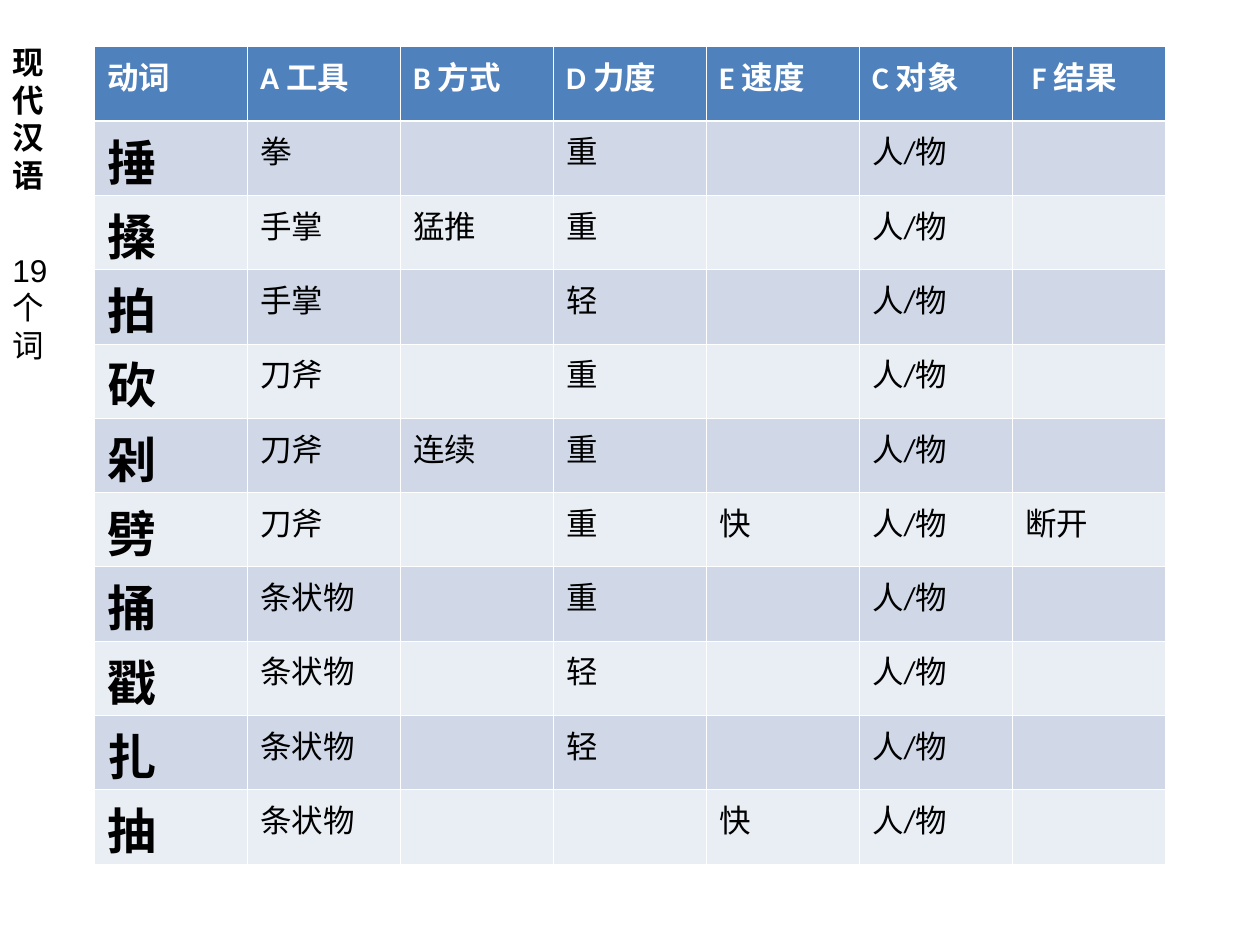
from lxml import etree
from pptx import Presentation
from pptx.dml.color import RGBColor
from pptx.enum.text import MSO_AUTO_SIZE
from pptx.oxml.ns import qn
from pptx.util import Inches, Pt

FIT_SHAPE = MSO_AUTO_SIZE.SHAPE_TO_FIT_TEXT
BLANK_LAYOUT = 6
HEADER_FILL = "4F81BD"
BAND_FILLS = ("D0D8E8", "E9EDF4")
THIN, THICK = 0.45, 1.47

HEADERS = ["动词", "A 工具", "B 方式", "D 力度", "E 速度", "C 对象", " F 结果"]
VERBS = [
    ["捶", "拳", "", "重", "", "人/物", ""],
    ["搡", "手掌", "猛推", "重", "", "人/物", ""],
    ["拍", "手掌", "", "轻", "", "人/物", ""],
    ["砍", "刀斧", "", "重", "", "人/物", ""],
    ["剁", "刀斧", "连续", "重", "", "人/物", ""],
    ["劈", "刀斧", "", "重", "快", "人/物", "断开"],
    ["捅", "条状物", "", "重", "", "人/物", ""],
    ["戳", "条状物", "", "轻", "", "人/物", ""],
    ["扎", "条状物", "", "轻", "", "人/物", ""],
    ["抽", "条状物", "", "", "快", "人/物", ""],
]
SIDE_LABELS = [
    (0.29, 1.3, ["现代汉语"], "Calibri", True),
    (1.94, 1, ["19个", "词"], "Arial", False),
]


def write(frame, lines, size=18, font="Calibri", color="000000", bold=False, spacing=None):
    """Fill a text frame with one formatted paragraph per line."""
    for index, line in enumerate(lines):
        para = frame.add_paragraph() if index else frame.paragraphs[0]
        para.line_spacing = spacing
        span = para.add_run()
        span.text = line
        span.font.size = Pt(size)
        span.font.name = font
        span.font.bold = bold
        span.font.color.rgb = RGBColor.from_string(color)


def set_borders(cell, color="FFFFFF", **widths):
    """Draw cell borders; widths in points are keyed by side: L, R, T, B."""
    properties = cell._tc.get_or_add_tcPr()
    for index, (side, width) in enumerate(widths.items()):
        line = etree.Element(qn(f"a:ln{side}"), w=str(Pt(width)))
        fill = etree.SubElement(line, qn("a:solidFill"))
        etree.SubElement(fill, qn("a:srgbClr"), val=color)
        properties.insert(index, line)


deck = Presentation()
deck.slide_width, deck.slide_height = Inches(10), Inches(7.5)
page = deck.slides.add_slide(deck.slide_layouts[BLANK_LAYOUT])

rows = [HEADERS] + VERBS
table = page.shapes.add_table(
    len(rows), len(HEADERS), Inches(0.75), Inches(0.37), Inches(8.5), Inches(6.49)
).table
for column in table.columns:
    column.width = Inches(8.5 / len(HEADERS))
for row in table.rows:
    row.height = Inches(0.59)

for row_index, texts in enumerate(rows):
    is_header = row_index == 0
    for column_index, text in enumerate(texts):
        cell = table.cell(row_index, column_index)
        is_verb = column_index == 0 and not is_header
        cell.fill.solid()
        cell.fill.fore_color.rgb = RGBColor.from_string(
            HEADER_FILL if is_header else BAND_FILLS[(row_index - 1) % 2]
        )
        set_borders(
            cell,
            L=THIN,
            R=THIN,
            T=THICK if row_index == 1 else THIN,
            B=THICK if is_header else THIN,
        )
        if is_verb:
            cell.margin_bottom = 0
        if text:
            write(
                cell.text_frame,
                [text],
                size=28 if is_verb else 18,
                color="FFFFFF" if is_header else "000000",
                bold=is_header or is_verb,
                spacing=0.95 if is_verb else None,
            )

for top, height, lines, font, bold in SIDE_LABELS:
    box = page.shapes.add_textbox(0, Inches(top), Inches(0.67), Inches(height))
    box.text_frame.word_wrap = True
    box.text_frame.auto_size = FIT_SHAPE
    write(box.text_frame, lines, font=font, bold=bold)

deck.save("out.pptx")
